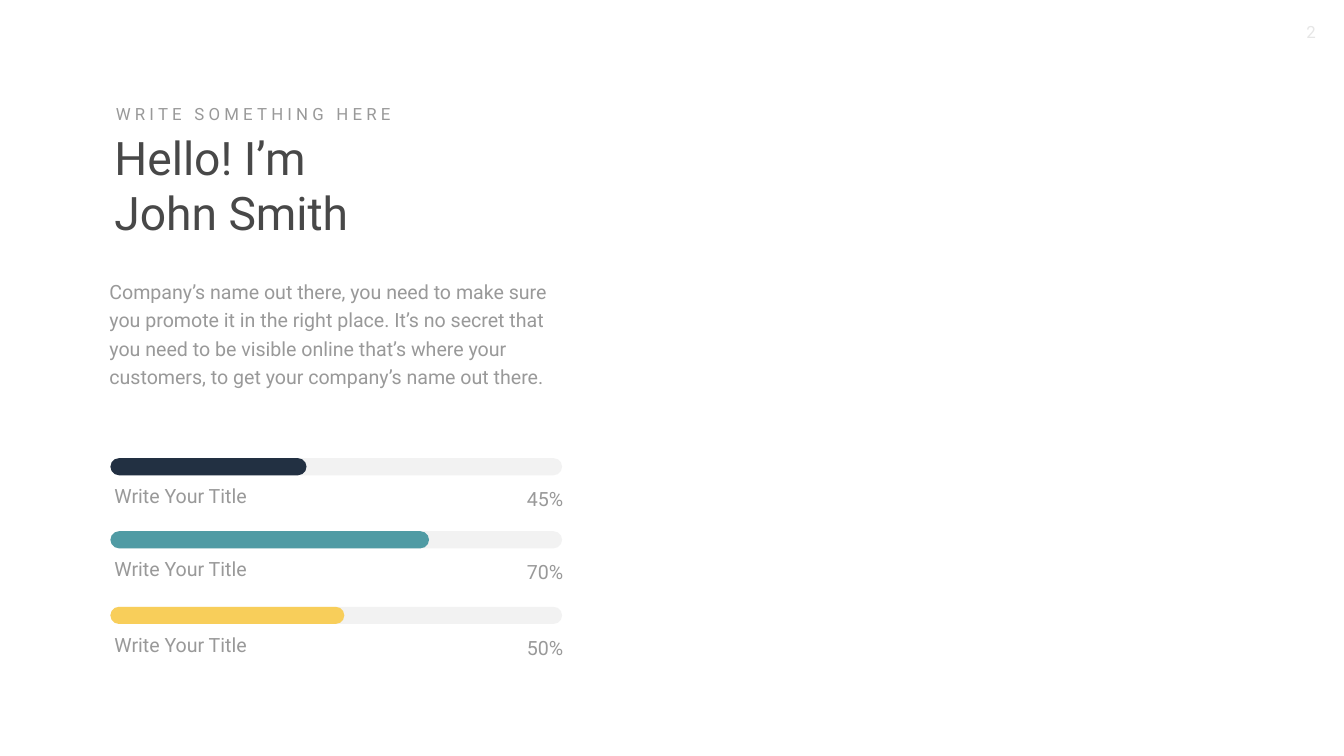
from lxml import etree
from pptx import Presentation
from pptx.dml.color import RGBColor
from pptx.enum.shapes import MSO_SHAPE as Shape
from pptx.enum.text import PP_ALIGN as Align
from pptx.oxml.ns import qn
from pptx.util import Inches, Pt

FONT = "Roboto"
GRAY = "999999"
BAR_LEFT, BAR_WIDTH, BAR_HEIGHT = 2.19, 8.96, 0.34
SKILLS = [
    (9.09, 3.89, "45%", "223042"),
    (10.54, 6.32, "70%", "509BA4"),
    (12.04, 4.64, "50%", "F8CE5A"),
]
INTRO = (
    "Company’s name out there, you need to make sure you promote it in the right place. "
    "It’s no secret that you need to be visible online that’s where your customers, "
    "to get your company’s name out there."
)


def color(value):
    return RGBColor.from_string(value)


def add_text(page, text, left, top, width, height, size=28, fill=GRAY, align=Align.LEFT):
    box = page.shapes.add_textbox(Inches(left), Inches(top), Inches(width), Inches(height))
    box.text_frame.word_wrap = True
    para = box.text_frame.paragraphs[0]
    para.text = text
    para.alignment = align
    para.font.name = FONT
    para.font.size = Pt(size)
    para.font.color.rgb = color(fill)
    return box


def add_heading(page):
    add_text(page, "Hello! I’m John Smith", 2.17, 2.51, 5.96, 2.32, 66, "484848")
    label = add_text(page, "WRITE SOMETHING HERE", 2.2, 2, 5.96, 0.5, 24)
    span = label.text_frame.paragraphs[0].runs[0]
    span.font._element.set("spc", "600")


def add_intro(page):
    frame = add_text(page, INTRO, 1.93, 5.33, 9.71, 2.49).text_frame
    frame.margin_left = frame.margin_right = Inches(0.24)
    frame.margin_top = frame.margin_bottom = Inches(0.12)
    frame.paragraphs[0].line_spacing = Pt(40.8)


def add_bar(page, top, width, fill, opacity=100):
    bar = page.shapes.add_shape(
        Shape.ROUNDED_RECTANGLE, Inches(BAR_LEFT), Inches(top), Inches(width), Inches(BAR_HEIGHT)
    )
    bar.adjustments[0] = 0.5
    bar.shadow.inherit = False
    bar.line.fill.background()
    bar.fill.solid()
    bar.fill.fore_color.rgb = color(fill)
    if opacity < 100:
        tint = bar._element.spPr.find(".//" + qn("a:srgbClr"))
        etree.SubElement(tint, qn("a:alpha"), val=str(opacity * 1000))


def add_skill(page, top, width, percent, fill):
    add_bar(page, top, BAR_WIDTH, "808080", opacity=10)
    add_text(page, "Write Your Title", 2.17, top + 0.47, 4.16, 0.44)
    add_text(page, percent, 9.81, top + 0.52, 1.46, 0.44, align=Align.RIGHT)
    add_bar(page, top, width, fill)


def main():
    deck = Presentation()
    deck.slide_width = Inches(26.66)
    deck.slide_height = Inches(15)
    page = deck.slides.add_slide(deck.slide_layouts[6])
    add_text(page, "2", 25.2, 0.39, 1, 0.5, 24, "E6E6E6", Align.RIGHT)
    add_heading(page)
    add_intro(page)
    for skill in SKILLS:
        add_skill(page, *skill)
    deck.save("out.pptx")


if __name__ == "__main__":
    main()
